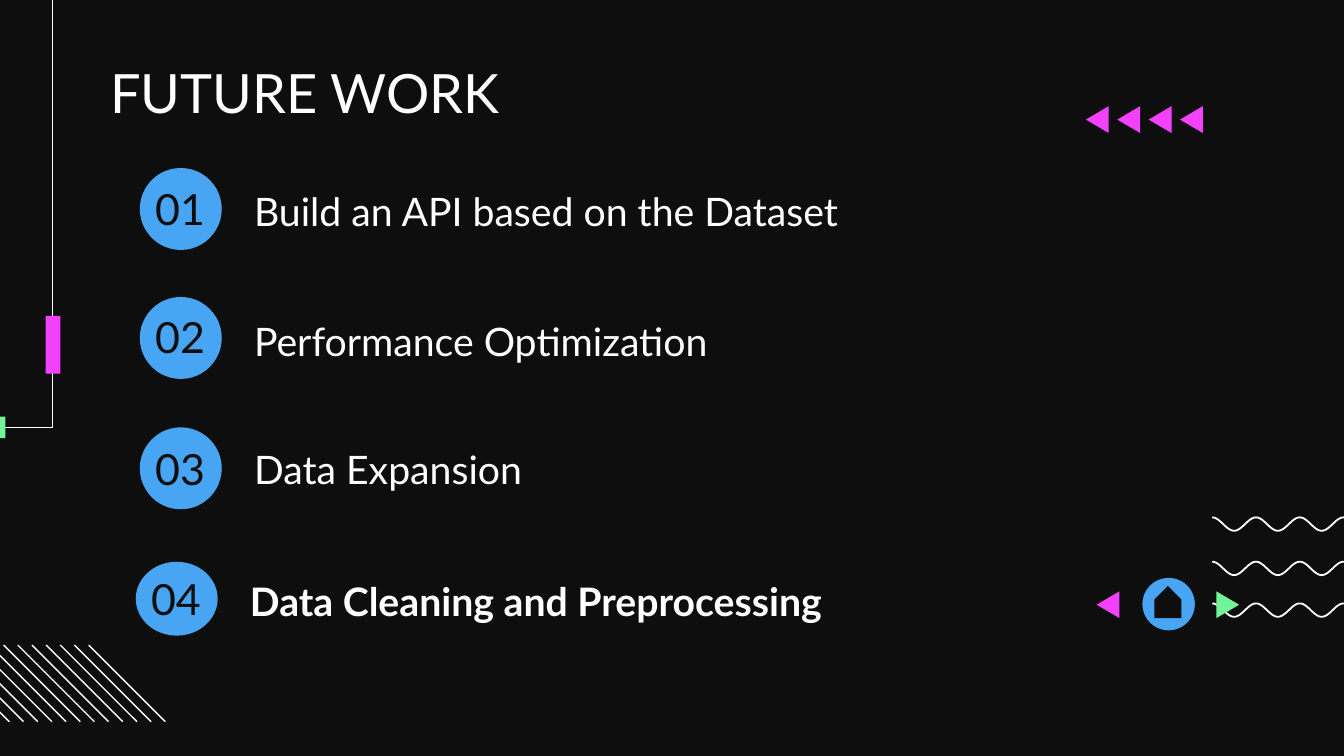
"""Builds the Future Work slide: four numbered plans on a dark, decorated page."""
from math import cos, pi

from lxml.etree import SubElement
from pptx import Presentation
from pptx.dml.color import RGBColor
from pptx.enum.shapes import MSO_CONNECTOR as Connector, MSO_SHAPE as Shape
from pptx.enum.text import MSO_ANCHOR as Anchor, MSO_AUTO_SIZE as AutoSize, PP_ALIGN as Align
from pptx.oxml.ns import qn
from pptx.util import Inches, Pt

TITLE = "FUTURE WORK"
PLANS = [
    dict(number="01", text="Build an API based on the Dataset", left=1.04,
         circle_top=1.25, circle_height=0.61, number_top=1.16, text_top=1.34, width=6.29, bold=False),
    dict(number="02", text="Performance Optimization", left=1.04,
         circle_top=2.21, circle_height=0.61, number_top=2.11, text_top=2.31, width=5.97, bold=False),
    dict(number="03", text="Data Expansion", left=1.04,
         circle_top=3.18, circle_height=0.61, number_top=3.09, text_top=3.26, width=5.97, bold=False),
    dict(number="04", text="Data Cleaning and Preprocessing", left=1.01,
         circle_top=4.18, circle_height=0.55, number_top=4.06, text_top=4.24, width=5.97, bold=True),
]
WHITE, DARK, BLUE, PINK, GREEN = "FFFFFF", "0E0E0E", "47A5F3", "F341FF", "72F49A"
FONT = "Lato"
WAVE_TOPS = [3.85, 4.18, 4.49]
WAVE_LEFT, WAVE_WIDTH, WAVE_HEIGHT, HALF_WAVES, WAVE_STEPS = 9.02, 1.14, 0.1, 7, 12
STRIPES, STRIPE_LEFT, STRIPE_TOP, STRIPE_SIZE, STRIPE_SPREAD = 12, -0.5, 4.8, 0.57, 1.16
ARROWS, ARROW_LEFT, ARROW_TOP, ARROW_SPREAD = 4, 8.08, 0.79, 0.7


def color(value):
    return RGBColor.from_string(value)


def paint(shape, fill=None, line=None, weight=0.75):
    shape.shadow.inherit = False
    if fill:
        shape.fill.solid()
        shape.fill.fore_color.rgb = color(fill)
    else:
        shape.fill.background()
    if line:
        shape.line.color.rgb = color(line)
        shape.line.width = Pt(weight)
    else:
        shape.line.fill.background()
    return shape


def place(box, left, top, width, height):
    box.left, box.top, box.width, box.height = map(Inches, (left, top, width, height))


def add_preset(kind, left, top, width, height, fill):
    return paint(page.shapes.add_shape(kind, *map(Inches, (left, top, width, height))), fill)


def add_outline(points, closed=False, **style):
    points = [(Inches(x), Inches(y)) for x, y in points]
    builder = page.shapes.build_freeform(*points[0])
    builder.add_line_segments(points[1:], close=closed)
    return paint(builder.convert_to_shape(), **style)


def add_triangle(base, tip, top, fill):
    add_outline([(base, top), (tip, top + 0.1), (base, top + 0.2)], closed=True, fill=fill)


def write(box, text, size, ink, bold=False, align=Align.LEFT, inset_top=0, spacing=1.0, after=0):
    frame = box.text_frame
    frame.word_wrap = True
    frame.auto_size = AutoSize.NONE
    frame.vertical_anchor = Anchor.TOP
    frame.margin_left = frame.margin_right = frame.margin_bottom = Inches(0.1)
    frame.margin_top = Inches(inset_top)
    para = frame.paragraphs[0]
    para.alignment, para.line_spacing = align, spacing
    para.space_before, para.space_after = Pt(0), Pt(after)
    properties = para._p.get_or_add_pPr()
    properties.set("marL", "0")
    properties.set("indent", "0")
    SubElement(properties, qn("a:buNone"))
    span = para.add_run()
    span.text = text
    span.font.name, span.font.size, span.font.bold = FONT, Pt(size), bold
    span.font.color.rgb = color(ink)


deck = Presentation()
deck.slide_width = Inches(10)
deck.slide_height = deck.slide_width * 9 // 16
page = deck.slides.add_slide(deck.slide_layouts.get_by_name("Comparison"))
page.background.fill.solid()
page.background.fill.fore_color.rgb = color(DARK)

for top in WAVE_TOPS:
    turns = [step / WAVE_STEPS for step in range(HALF_WAVES * WAVE_STEPS + 1)]
    add_outline([(WAVE_LEFT + WAVE_WIDTH * turn / HALF_WAVES,
                  top + WAVE_HEIGHT * (1 - cos(pi * turn)) / 2)
                 for turn in turns], line=WHITE, weight=0.95)

for index in range(STRIPES):
    left = STRIPE_LEFT + index * STRIPE_SPREAD / (STRIPES - 1)
    ends = (left, STRIPE_TOP, left + STRIPE_SIZE, STRIPE_TOP + STRIPE_SIZE)
    stripe = page.shapes.add_connector(Connector.STRAIGHT, *map(Inches, ends))
    stripe.line.color.rgb = color(WHITE)
    stripe.line.width = Pt(0.75)
    SubElement(stripe._element.spPr, qn("a:effectLst"))

add_outline([(-3.93, 3.18), (0.39, 3.18), (0.39, -0.22)], line=WHITE)
add_preset(Shape.RECTANGLE, -0.12, 3.1, 0.16, 0.16, GREEN)
add_preset(Shape.RECTANGLE, 0.34, 2.35, 0.11, 0.43, PINK)

title, *bodies = page.placeholders
place(title, 0.72, 0.44, 8.44, 0.46)
write(title, TITLE, 29, WHITE)

for plan, body in zip(PLANS, bodies):
    left = plan["left"]
    add_preset(Shape.OVAL, left, plan["circle_top"], 0.61, plan["circle_height"], BLUE)
    label = page.shapes.add_textbox(*map(Inches, (left - 0.15, plan["number_top"], 0.9, 0.61)))
    write(label, plan["number"], 23, DARK, align=Align.CENTER, inset_top=0.2)
    place(body, left + 0.75, plan["text_top"], plan["width"], 0.39)
    write(body, plan["text"], 21, WHITE, bold=plan["bold"], spacing=1.15, after=12)

for index in range(ARROWS):
    tip = ARROW_LEFT + index * ARROW_SPREAD / (ARROWS - 1)
    add_triangle(tip + 0.17, tip, ARROW_TOP, PINK)

add_preset(Shape.OVAL, 8.5, 4.3, 0.39, 0.39, BLUE)
home = add_preset(Shape.PENTAGON, 8.57, 4.38, 0.24, 0.2, DARK)
home.rotation = 270
add_triangle(8.33, 8.16, 4.4, PINK)
add_triangle(9.05, 9.22, 4.4, GREEN)

deck.save("out.pptx")
